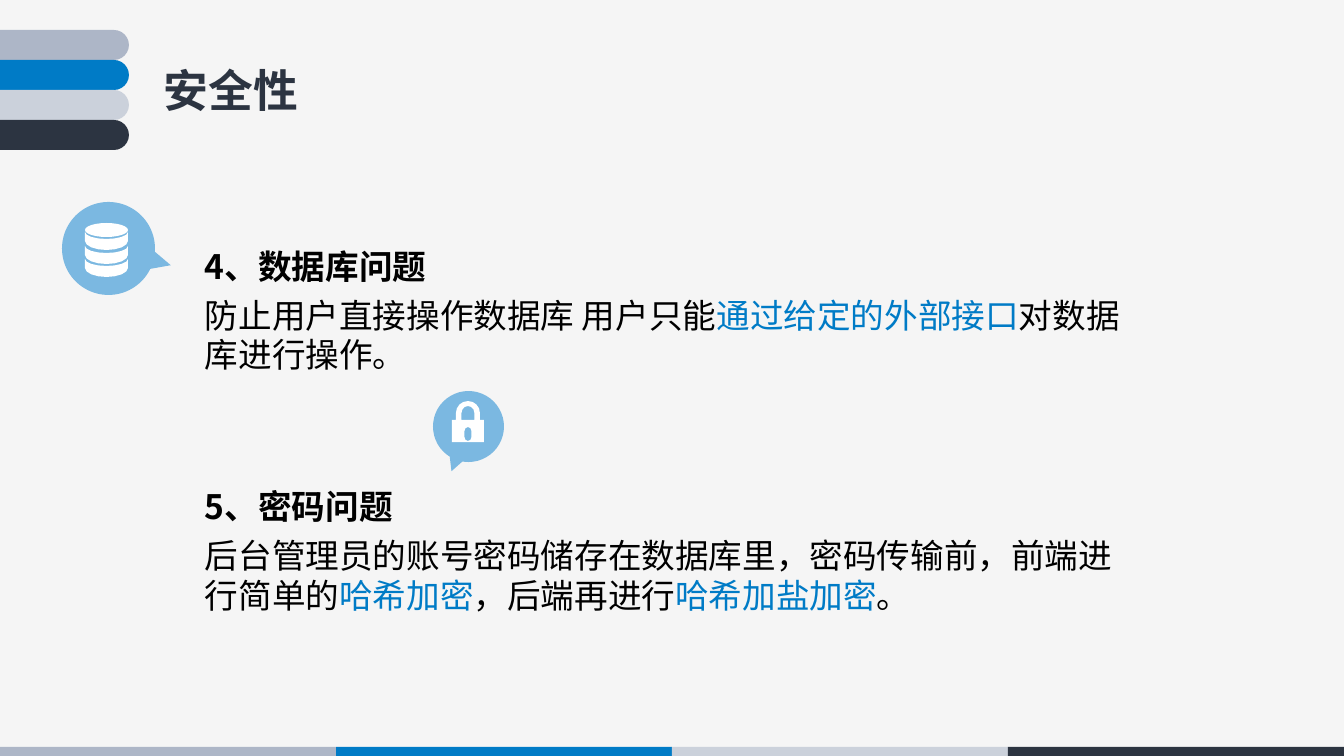
import math

from lxml import etree
from pptx import Presentation
from pptx import util as u
from pptx.dml.color import RGBColor
from pptx.enum import shapes, text
from pptx.oxml.ns import qn

PX = 914400 / 100.8
FONT = "Noto Sans CJK SC"
BLACK, WHITE, BLUE, NAVY, SKY = "000000", "FFFFFF", "007BC6", "2C3441", "7BB8E1"
STRIPES = ["ADB6C7", BLUE, "CBD1DB", NAVY]
PRESET = shapes.MSO_SHAPE


def paint(shape, color):
    shape.shadow.inherit = False
    shape.fill.solid()
    shape.fill.fore_color.rgb = RGBColor.from_string(color)
    shape.line.fill.background()


def arc(x, y, radius_x, radius_y, start, end, steps=8):
    """Points along an ellipse, in px; angles in degrees, clockwise from the right."""
    angles = [math.radians(start + (end - start) * i / steps) for i in range(steps + 1)]
    return [(x + radius_x * math.cos(a), y + radius_y * math.sin(a)) for a in angles]


presentation = Presentation()
presentation.slide_width = u.Emu(round(1344 * PX))
presentation.slide_height = u.Emu(round(756 * PX))
slide = presentation.slides.add_slide(presentation.slide_layouts[6])
slide.background.fill.solid()
slide.background.fill.fore_color.rgb = RGBColor.from_string("F5F5F5")

# Preset shapes: kind, box, colour, adjustments
presets = [(PRESET.RECTANGLE, (336 * i, 747, 336, 9), color, [])
           for i, color in enumerate(STRIPES)]
presets += [(PRESET.ROUNDED_RECTANGLE, (-63, 30 + 30 * i, 192, 30), color, [0.5])
            for i, color in enumerate(STRIPES)]
presets += [
    (PRESET.OVAL_CALLOUT, (62, 202, 93, 93), SKY, [0.67, 0.18]),
    (PRESET.OVAL_CALLOUT, (433, 391, 71, 71), SKY, [-0.24, 0.63]),
    (PRESET.OVAL, (85, 223, 43, 14), WHITE, []),
]
for kind, box, color, adjustments in presets:
    shape = slide.shapes.add_shape(kind, *[u.Emu(round(n * PX)) for n in box])
    paint(shape, color)
    for i, value in enumerate(adjustments):
        shape.adjustments[i] = value

# White icons: each is a list of outlines
database_bands = [
    [arc(106.5, top, 21.5, 7, 180, 0) + arc(106.5, top + 9, 21.5, 9, 0, 180)]
    for top in (232, 246, 259)
]
lock_body = [(484, 420), (484, 442), (452, 442), (452, 420), (456, 420)]
padlock = [
    arc(468, 413, 12, 12, 180, 360) + lock_body,
    arc(468, 413, 6.5, 7, 180, 360, 6) + [(474.5, 420), (461.5, 420)],
    arc(468, 431, 3.5, 4, 180, 360, 4) + arc(468, 437, 3.5, 4, 0, 180, 4),
]
padlock[0].insert(-5, (480, 420))
for outlines in database_bands + [padlock]:
    contours = [[(x * PX, y * PX) for x, y in outline] for outline in outlines]
    builder = slide.shapes.build_freeform(*contours[0][0])
    builder.add_line_segments(contours[0][1:], close=True)
    for contour in contours[1:]:
        builder.move_to(*contour[0])
        builder.add_line_segments(contour[1:], close=True)
    paint(builder.convert_to_shape(), WHITE)

# Text boxes: box, size, line height, paragraphs (space before, bold, runs)
title = [(0, True, [("安全性", NAVY)])]
issues = [
    (0, True, [("4、数据库问题", BLACK)]),
    (6.5, False, [("防止用户直接操作数据库 用户只能", BLACK),
                  ("通过给定的外部接口", BLUE),
                  ("对数据库进行操作。", BLACK)]),
    (79.5, True, [("5、密码问题", BLACK)]),
    (6.5, False, [("后台管理员的账号密码储存在数据库里，密码传输前，前端进行简单的", BLACK),
                  ("哈希加密", BLUE),
                  ("，后端再进行", BLACK),
                  ("哈希加盐加密", BLUE),
                  ("。", BLACK)]),
]
for box, size, line_height, paragraphs in [
    ((154, 58, 170, 64), 32, 38.5, title),
    ((195, 241, 956, 379), 24, 28.5, issues),
]:
    frame = slide.shapes.add_textbox(*[u.Emu(round(n * PX)) for n in box]).text_frame
    frame.word_wrap = True
    frame.vertical_anchor = text.MSO_ANCHOR.TOP
    for i, (space_before, bold, runs) in enumerate(paragraphs):
        paragraph = frame.add_paragraph() if i else frame.paragraphs[0]
        paragraph.line_spacing = u.Pt(line_height)
        paragraph.space_before = u.Pt(space_before)
        for words, color in runs:
            run = paragraph.add_run()
            run.text = words
            for name, value in {"name": FONT, "size": u.Pt(size), "bold": bold}.items():
                setattr(run.font, name, value)
            run.font.color.rgb = RGBColor.from_string(color)
            properties = run._r.get_or_add_rPr()
            etree.SubElement(properties, qn("a:ea")).set("typeface", FONT)

presentation.save("out.pptx")
